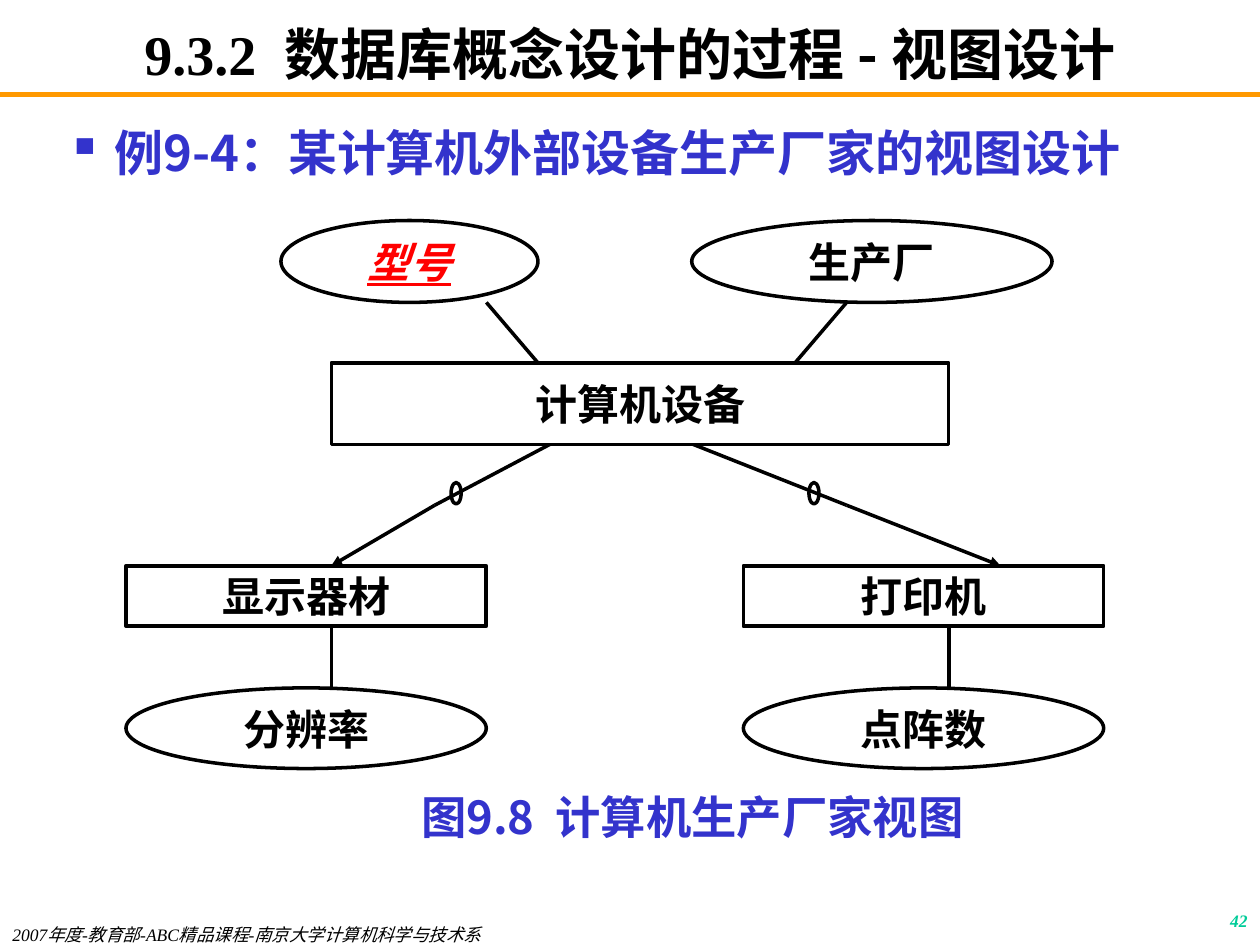
from lxml import etree
from pptx import Presentation
from pptx.dml.color import RGBColor
from pptx.enum.shapes import MSO_CONNECTOR, MSO_SHAPE
from pptx.enum.text import MSO_ANCHOR, PP_ALIGN
from pptx.oxml.ns import qn
from pptx.util import Inches, Pt

OVAL, RECTANGLE = MSO_SHAPE.OVAL, MSO_SHAPE.RECTANGLE
LEFT, CENTER, RIGHT = PP_ALIGN.LEFT, PP_ALIGN.CENTER, PP_ALIGN.RIGHT
TOP, MIDDLE = MSO_ANCHOR.TOP, MSO_ANCHOR.MIDDLE
SERIF, CJK = "Times New Roman", "Noto Sans CJK SC"
BLACK, WHITE, RED, BLUE = "000000", "FFFFFF", "FF0000", "3333CC"
ORANGE, GREEN = "FF9900", "00CC99"

TITLE = [("9.3.2  ", SERIF), ("数据库概念设计的过程 - 视图设计", CJK)]
EXAMPLE = "例9-4：某计算机外部设备生产厂家的视图设计"
CAPTION = "图9.8  计算机生产厂家视图"
FOOTER = "2007年度-教育部-ABC精品课程-南京大学计算机科学与技术系"
PAGE_NUMBER = "42"

# Entity-relationship diagram: left and right subtype columns
COLUMN_LEFTS = (1, 5.9)
COLUMN_WIDTH = 2.86
SUBTYPES = [("显示器材", "分辨率"), ("打印机", "点阵数")]
NODES = [  # text, shape, left, top, width, height
    ("型号", OVAL, 2.23, 1.75, 2.04, 0.65),
    ("生产厂", OVAL, 5.49, 1.75, COLUMN_WIDTH, 0.65),
    ("计算机设备", RECTANGLE, 2.63, 2.88, 4.9, 0.65),
]
for column_left, (entity, attribute) in zip(COLUMN_LEFTS, SUBTYPES):
    NODES.append((entity, RECTANGLE, column_left, 4.49, COLUMN_WIDTH, 0.48))
    NODES.append((attribute, OVAL, column_left, 5.46, COLUMN_WIDTH, 0.64))
KEY_ATTRIBUTE = "型号"

LINKS = [  # start, end, arrowhead at end
    ((3.86, 2.4), (4.27, 2.88), False),
    ((6.72, 2.4), (6.31, 2.88), False),
    ((4.68, 3.36), (3.45, 4.01), False),
    ((3.45, 4.01), (2.63, 4.49), True),
    ((5.08, 3.36), (6.72, 4.01), False),
    ((6.72, 4.01), (7.94, 4.49), True),
    ((2.63, 4.97), (2.63, 5.46), False),
    ((7.53, 4.97), (7.53, 5.46), False),
]
SUBSET_MARK_LEFTS = (3.58, 6.42)


def color(hex_string):
    return RGBColor.from_string(hex_string)


def format_run(run, size, font_name, hex_string, bold=True, italic=False):
    font = run.font
    font.size, font.name = Pt(size), font_name
    font.bold, font.italic = bold, italic
    font.color.rgb = color(hex_string)
    east_asian = etree.Element(qn("a:ea"), typeface=CJK)
    font._element.find(qn("a:latin")).addnext(east_asian)


def set_frame(text_frame, anchor, vertical_margin):
    text_frame.word_wrap = True
    text_frame.vertical_anchor = anchor
    text_frame.margin_left = text_frame.margin_right = Inches(0.1)
    text_frame.margin_top = text_frame.margin_bottom = Inches(vertical_margin)


def add_text(slide, box, text, align, anchor, vertical_margin, **run_format):
    """Add a one-paragraph text box and return its paragraph."""
    text_frame = slide.shapes.add_textbox(*map(Inches, box)).text_frame
    set_frame(text_frame, anchor, vertical_margin)
    paragraph = text_frame.paragraphs[0]
    paragraph.text = text
    paragraph.alignment = align
    format_run(paragraph.runs[0], **run_format)
    return paragraph


def add_bullet(paragraph, character, hex_string, indent):
    properties = paragraph._p.get_or_add_pPr()
    properties.set("marL", str(Inches(indent)))
    properties.set("indent", str(-Inches(indent)))
    bullet_color = etree.SubElement(properties, qn("a:buClr"))
    etree.SubElement(bullet_color, qn("a:srgbClr"), val=hex_string)
    etree.SubElement(properties, qn("a:buChar"), char=character)


def add_line(slide, start, end, hex_string=BLACK, width=2, arrow=False):
    connector = slide.shapes.add_connector(
        MSO_CONNECTOR.STRAIGHT, *map(Inches, (*start, *end)))
    connector.line.color.rgb = color(hex_string)
    connector.line.width = Pt(width)
    if arrow:
        etree.SubElement(connector.line._get_or_add_ln(), qn("a:tailEnd"), type="triangle")
    etree.SubElement(connector._element.spPr, qn("a:effectLst"))


def add_outline(slide, kind, box):
    shape = slide.shapes.add_shape(kind, *map(Inches, box))
    shape.shadow.inherit = False
    shape.line.color.rgb = color(BLACK)
    shape.line.width = Pt(2)
    return shape


def add_node(slide, text, kind, *box):
    shape = add_outline(slide, kind, box)
    shape.fill.solid()
    shape.fill.fore_color.rgb = color(WHITE)
    set_frame(shape.text_frame, MIDDLE, 0.01)
    paragraph = shape.text_frame.paragraphs[0]
    paragraph.text = text
    paragraph.alignment = CENTER
    is_key = text == KEY_ATTRIBUTE
    run = paragraph.runs[0]
    format_run(run, 24, SERIF, RED if is_key else BLACK, italic=is_key)
    run.font.underline = is_key


def add_title(slide):
    title = slide.shapes.title
    title.left, title.top, title.width, title.height = map(Inches, (0.75, 0.17, 8.5, 0.5))
    set_frame(title.text_frame, MIDDLE, 0)
    paragraph = title.text_frame.paragraphs[0]
    paragraph.alignment = CENTER
    for text, font_name in TITLE:
        run = paragraph.add_run()
        run.text = text
        format_run(run, 32, font_name, BLACK)


def add_diagram(slide):
    for start, end, arrow in LINKS:
        add_line(slide, start, end, arrow=arrow)
    for node in NODES:
        add_node(slide, *node)
    for left in SUBSET_MARK_LEFTS:
        add_outline(slide, OVAL, (left, 3.83, 0.08, 0.17)).fill.background()
    caption = add_text(slide, (1.82, 6.27, 7.35, 0.48), CAPTION, CENTER, MIDDLE, 0.01,
                       size=25.9, font_name=CJK, hex_string=BLUE)
    caption.line_spacing = 0.9


def main():
    presentation = Presentation()
    presentation.slide_width, presentation.slide_height = Inches(10), Inches(7.5)
    slide = presentation.slides.add_slide(presentation.slide_layouts[5])
    add_title(slide)
    add_line(slide, (0, 0.75), (10, 0.75), ORANGE, 3)
    example = add_text(slide, (0.43, 0.92, 9.25, 0.83), EXAMPLE, LEFT, TOP, 0.05,
                       size=28, font_name=CJK, hex_string=BLUE)
    add_bullet(example, "▪", BLUE, 0.38)
    add_diagram(slide)
    add_text(slide, (0, 7.33, 5.5, 0.17), FOOTER, LEFT, TOP, 0,
             size=10, font_name=SERIF, hex_string=BLACK, bold=False, italic=True)
    add_text(slide, (7.92, 7.17, 2.08, 0.33), PAGE_NUMBER, RIGHT, TOP, 0.05,
             size=10, font_name=SERIF, hex_string=GREEN, italic=True)
    presentation.save("out.pptx")


if __name__ == "__main__":
    main()
